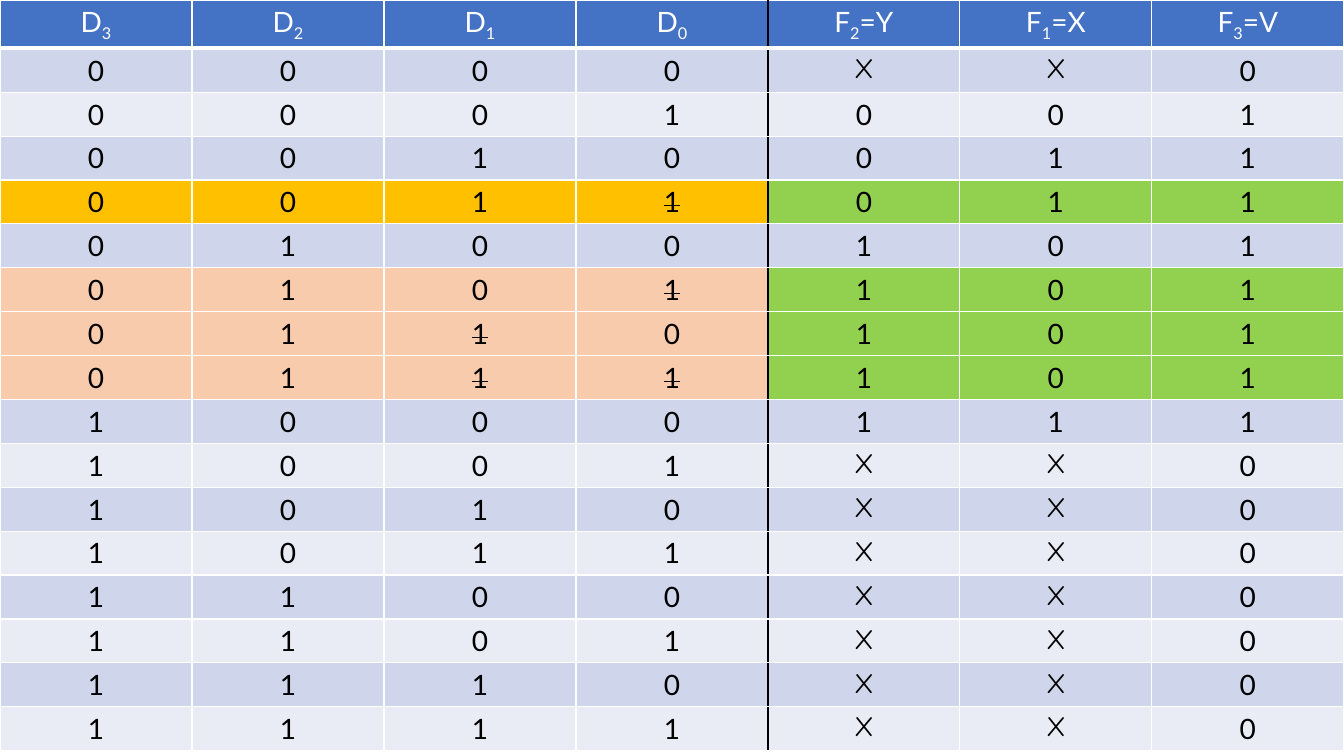
from lxml import etree
from pptx import Presentation
from pptx import util as u
from pptx.dml.color import RGBColor
from pptx.enum import text
from pptx.oxml.ns import qn

WHITE, BLACK, BLUE = "FFFFFF", "000000", "4472C4"
BANDS = ["CFD5EA", "E9EBF5"]
GOLD, PEACH, GREEN = "FFC000", "F8CBAD", "92D050"
INPUTS = 4
marked = {3: GOLD, 5: PEACH, 6: PEACH, 7: PEACH}


def paint(fill, color):
    fill.solid()
    fill.fore_color.rgb = RGBColor.from_string(color)


def edge(cell, side, color, width):
    """Draw one border of a cell; side is L, R, T or B."""
    props = cell._tc.get_or_add_tcPr()
    line = etree.SubElement(props, qn(f"a:ln{side}"), w=str(u.Pt(width)))
    solid = etree.SubElement(line, qn("a:solidFill"))
    etree.SubElement(solid, qn("a:srgbClr"), val=color)


prs = Presentation()
prs.slide_width, prs.slide_height = u.Cm(33.87), u.Cm(19.05)
slide = prs.slides.add_slide(prs.slide_layouts[6])

# Each cell is a list of (text, style) runs
heads = ["D 3", "D 2", "D 1", "D 0", "F 2 =Y", "F 1 =X", "F 3 =V"]
rows = [[list(zip(head.split(), ["", "sub", ""])) for head in heads]]
for n in range(2 ** INPUTS):
    bits = f"{n:04b}"
    lead = bits.find("1")
    row = [[(bit, "strike" if n in marked and bit == "1" and i > lead else "")]
           for i, bit in enumerate(bits)]
    known = 1 <= n <= 8
    code = f"{n.bit_length() - 1:02b}1" if known else "XX0"
    rows.append(row + [[(mark, "")] for mark in code])

table = slide.shapes.add_table(
    len(rows), len(heads), 0, 0, prs.slide_width, u.Cm(1.1 * len(rows))).table

for r, row in enumerate(rows):
    for c, runs in enumerate(row):
        cell = table.cell(r, c)
        if c > 0:
            edge(cell, "L", BLACK if c == INPUTS else WHITE, 1)
        if c < len(heads) - 1:
            edge(cell, "R", BLACK if c == INPUTS - 1 else WHITE, 1)
        edge(cell, "T", WHITE, 3 if r == 1 else 1)
        edge(cell, "B", WHITE, 3 if r == 0 else 1)

        n = r - 1
        if r == 0:
            color = BLUE
        elif n in marked:
            color = marked[n] if c < INPUTS else GREEN
        else:
            color = BANDS[n % 2]
        paint(cell.fill, color)

        para = cell.text_frame.paragraphs[0]
        para.alignment = text.PP_ALIGN.CENTER
        for words, style in runs:
            run = para.add_run()
            run.text = words
            run.font.size = u.Pt(20)
            run.font.bold = False
            run.font.name = "Comic Neue" if words == "X" else "Lato"
            paint(run.font.fill, BLACK if r else WHITE)
            if style == "sub":
                run._r.get_or_add_rPr().set("baseline", "-25000")
            elif style == "strike":
                run._r.get_or_add_rPr().set("strike", "sngStrike")

prs.save("out.pptx")
